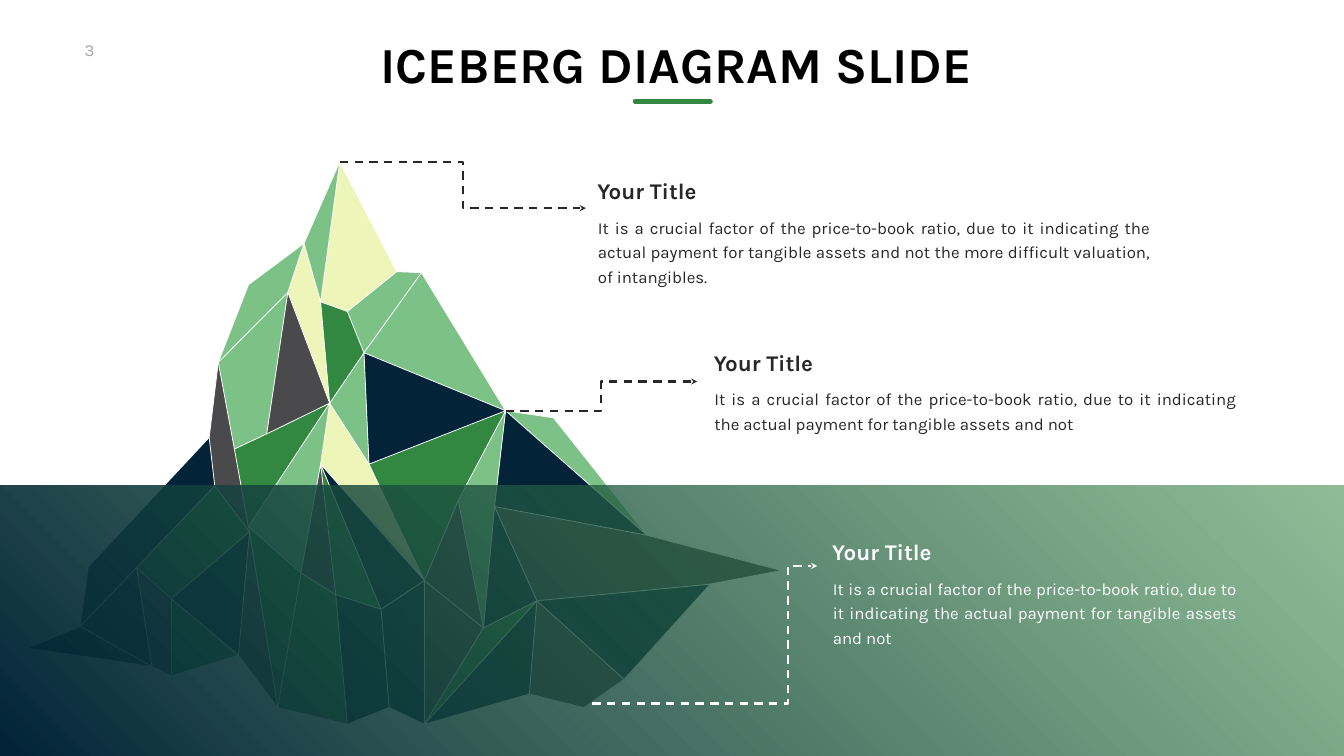
import lxml.etree
import pptx
import pptx.dml.color
import pptx.enum.dml
import pptx.enum.shapes
import pptx.enum.text
import pptx.oxml.ns
import pptx.util

Inches = pptx.util.Inches
Pt = pptx.util.Pt
ALIGN = pptx.enum.text.PP_ALIGN
CONNECTOR = pptx.enum.shapes.MSO_CONNECTOR

COLORS = {
    "white": "FFFFFF", "black": "000000", "ink": "272727", "grey": "A6A6A6",
    "navy": "022338", "slate": "4A4A4C", "green": "328840", "light": "7CC287",
    "cream": "EEF5B8", "water": "428D4E",
}

# Corners of the iceberg: capitals run round its outline, small letters lie inside.
OUTLINE = "ABCDEFGHIJKLMNOPQRSTUVWXY"
CORNERS = {
    "A": (6.74, 3.21), "B": (6.03, 4.83), "C": (4.93, 5.65), "D": (4.33, 7.19),
    "E": (4.15, 8.68), "F": (1.75, 11.25), "G": (1.59, 12.43), "H": (0.54, 12.86),
    "I": (3.01, 13.22), "J": (3.4, 13.41), "K": (4.73, 13), "L": (5.51, 14.04),
    "M": (6.89, 14.37), "N": (7.72, 14.04), "O": (8.42, 14.37), "P": (10.5, 13.77),
    "Q": (11.58, 14.04), "R": (12.38, 13.48), "S": (14.09, 11.59), "T": (15.5, 11.32),
    "U": (12.83, 10.62), "V": (10.98, 8.29), "W": (10.03, 8.15), "X": (8.36, 5.41),
    "Y": (7.87, 5.39),
    "a": (5.71, 5.8), "b": (6.36, 5.99), "c": (6.89, 6.18), "d": (7.22, 7),
    "e": (6.54, 8), "f": (5.29, 8.61), "g": (4.65, 8.91), "h": (6.36, 9.21),
    "i": (7.32, 9.21), "j": (4.26, 9.64), "k": (9.81, 10.05), "l": (9.09, 9.93),
    "m": (4.93, 10.45), "n": (4.95, 10.55), "o": (2.71, 11.26), "p": (5.97, 11.37),
    "q": (8.42, 11.52), "r": (6.66, 11.8), "s": (3.4, 11.88), "t": (10.65, 11.92),
    "u": (7.56, 12.09), "v": (9.59, 12.46),
}
FACETS = [
    ("slate", "TStkU"), ("navy", "SRt"), ("light", "VUW"), ("navy", "UkW"),
    ("slate", "RQPt"), ("navy", "ktv"), ("navy", "tPO"), ("green", "tOv"),
    ("light", "XWd"), ("light", "Wkvl"), ("green", "Wlqi"), ("navy", "Wid"),
    ("slate", "lvq"), ("slate", "vOq"), ("navy", "qONu"), ("cream", "iqhe"),
    ("navy", "quh"), ("light", "XdcY"), ("cream", "AYcb"), ("navy", "uNMr"),
    ("green", "hur"), ("light", "die"), ("green", "cdeb"), ("green", "rMLp"),
    ("light", "AbB"), ("slate", "hrp"), ("cream", "beaB"), ("slate", "aef"),
    ("light", "ehpm"), ("green", "emgf"), ("light", "BaDC"), ("green", "pLnm"),
    ("light", "afgD"), ("slate", "nLK"), ("slate", "mnjEDg"), ("green", "jnso"),
    ("navy", "nKs"), ("green", "KJs"), ("navy", "EjoGF"), ("slate", "sJIo"),
    ("navy", "oIG"), ("navy", "IHG"),
]
# A ridge that ends where it starts is a closed outline.
RIDGES = [
    OUTLINE + "A", "sKnLprM", "RtOqvlWk", "OvtkUW", "vk", "quhq", "Nurhpmefg", "aeh",
    "AbBaf", "aDgmnsJ", "XdiWd", "Ycbeiql", "edc", "PtS", "soIGojE", "jn",
]

RATIO = ("It is a crucial factor of the price-to-book ratio, due to it indicating "
         "the actual payment for tangible assets and not")
# Title position, body size, text, colour, arrow start, arrow end, arrow bend
CALLOUTS = [
    ((11.75, 3.47), (11.43, 1.68), RATIO + " the more difficult valuation, of intangibles.",
     "ink", CORNERS["A"], (11.62, 4.13), 0.5),
    ((14.06, 6.87), (10.83, 1.19), RATIO, "ink", CORNERS["W"], (13.83, 7.57), 0.5),
    ((16.41, 10.63), (8.49, 1.68), RATIO, "white", (11.75, 13.96), (16.21, 11.23), 0.87),
]


def rgb(color):
    return pptx.dml.color.RGBColor.from_string(COLORS[color])


def add_xml(parent, tag, **attributes):
    return lxml.etree.SubElement(parent, pptx.oxml.ns.qn(tag), **attributes)


class IcebergSlide:
    font = "Karla"
    ridge_width = 1.13

    def __init__(self, slide):
        self.slide = slide
        self.iceberg = slide.shapes.add_group_shape().shapes

    def polygon(self, corners, closed):
        points = [(Inches(x), Inches(y)) for x, y in (CORNERS[c] for c in corners)]
        builder = self.iceberg.build_freeform(*points[0])
        builder.add_line_segments(points[1:], close=closed)
        shape = builder.convert_to_shape()
        shape.shadow.inherit = False
        return shape

    def facet(self, color, corners):
        shape = self.polygon(corners, True)
        shape.fill.solid()
        shape.fill.fore_color.rgb = rgb(color)
        shape.line.fill.background()

    def ridge(self, corners):
        if len(corners) == 2:
            start, end = (CORNERS[c] for c in corners)
            self.line(start, end, "white", self.ridge_width, shapes=self.iceberg)
            return
        closed = corners[0] == corners[-1]
        shape = self.polygon(corners[:-1] if closed else corners, closed)
        shape.fill.background()
        shape.line.color.rgb = rgb("white")
        shape.line.width = Pt(self.ridge_width)

    def line(self, start, end, color, width, kind=CONNECTOR.STRAIGHT, shapes=None):
        connector = (shapes or self.slide.shapes).add_connector(
            kind, *(Inches(v) for v in (*start, *end)))
        connector.line.color.rgb = rgb(color)
        connector.line.width = Pt(width)
        add_xml(connector._element.spPr, "a:effectLst")
        return connector

    def arrow(self, start, end, color, bend):
        connector = self.line(start, end, color, 3, CONNECTOR.ELBOW)
        connector.line.dash_style = pptx.enum.dml.MSO_LINE.DASH
        add_xml(connector.line._get_or_add_ln(), "a:tailEnd", type="stealth")
        adjustments = connector._element.spPr.find(".//" + pptx.oxml.ns.qn("a:avLst"))
        add_xml(adjustments, "a:gd", name="adj1", fmla=f"val {round(bend * 100000)}")

    def water(self, left, top, width, height):
        sea = self.slide.shapes.add_shape(
            pptx.enum.shapes.MSO_SHAPE.RECTANGLE,
            *(Inches(v) for v in (left, top, width, height)))
        sea.shadow.inherit = False
        sea.line.fill.background()
        sea.fill.gradient()
        sea.fill.gradient_angle = 45
        for stop, color, position in zip(sea.fill.gradient_stops, ("navy", "water"), (0, 1)):
            stop.color.rgb = rgb(color)
            stop.position = position
        clear_end = sea._element.spPr.findall(".//" + pptx.oxml.ns.qn("a:srgbClr"))[-1]
        add_xml(clear_end, "a:alpha", val="59000")

    def text(self, words, box, size, color, bold=False, align=ALIGN.LEFT, wrap=False,
             insets=(0.1, 0.05, 0.1, 0.05), middle=False, spacing=None):
        frame = self.slide.shapes.add_textbox(*(Inches(v) for v in box)).text_frame
        frame.text = words
        frame.word_wrap = wrap
        frame.auto_size = pptx.enum.text.MSO_AUTO_SIZE.SHAPE_TO_FIT_TEXT
        frame.margin_left, frame.margin_top, frame.margin_right, frame.margin_bottom = (
            Inches(v) for v in insets)
        if middle:
            frame.vertical_anchor = pptx.enum.text.MSO_ANCHOR.MIDDLE
        paragraph = frame.paragraphs[0]
        paragraph.alignment = align
        if spacing:
            paragraph.line_spacing = Pt(spacing)
        font = paragraph.runs[0].font
        font.name, font.size, font.bold = self.font, Pt(size), bold
        font.color.rgb = rgb(color)

    def callout(self, corner, body_size, words, color):
        left, top = corner
        self.text("Your Title", (left, top, 2.35, 0.64), 32, color, bold=True, middle=True)
        self.text(words, (left - 0.13, top + 0.64, *body_size), 24, color, wrap=True,
                  align=ALIGN.JUSTIFY, insets=(0.24, 0.12, 0.24, 0.12), spacing=35)


def main():
    deck = pptx.Presentation()
    deck.slide_width, deck.slide_height = Inches(26.66), Inches(15)
    page = IcebergSlide(deck.slides.add_slide(deck.slide_layouts[6]))

    for color, corners in FACETS:
        page.facet(color, corners)
    for corners in RIDGES:
        page.ridge(corners)
    page.water(0, 9.64, 26.66, 5.36)

    for corner, body_size, words, color, start, end, bend in CALLOUTS:
        page.arrow(start, end, color, bend)
        page.callout(corner, body_size, words, color)

    page.text("3", (1.58, 0.74, 0.75, 0.5), 24, "grey")
    underline = page.line((12.6, 2.01), (14.09, 2.01), "green", 7)
    underline.line._get_or_add_ln().set("cap", "rnd")
    page.text("ICEBERG DIAGRAM SLIDE", (7.17, 0.65, 12.39, 1.21), 72, "black", bold=True,
              align=ALIGN.CENTER, insets=(0.1, 0, 0, 0))
    deck.save("out.pptx")


if __name__ == "__main__":
    main()
